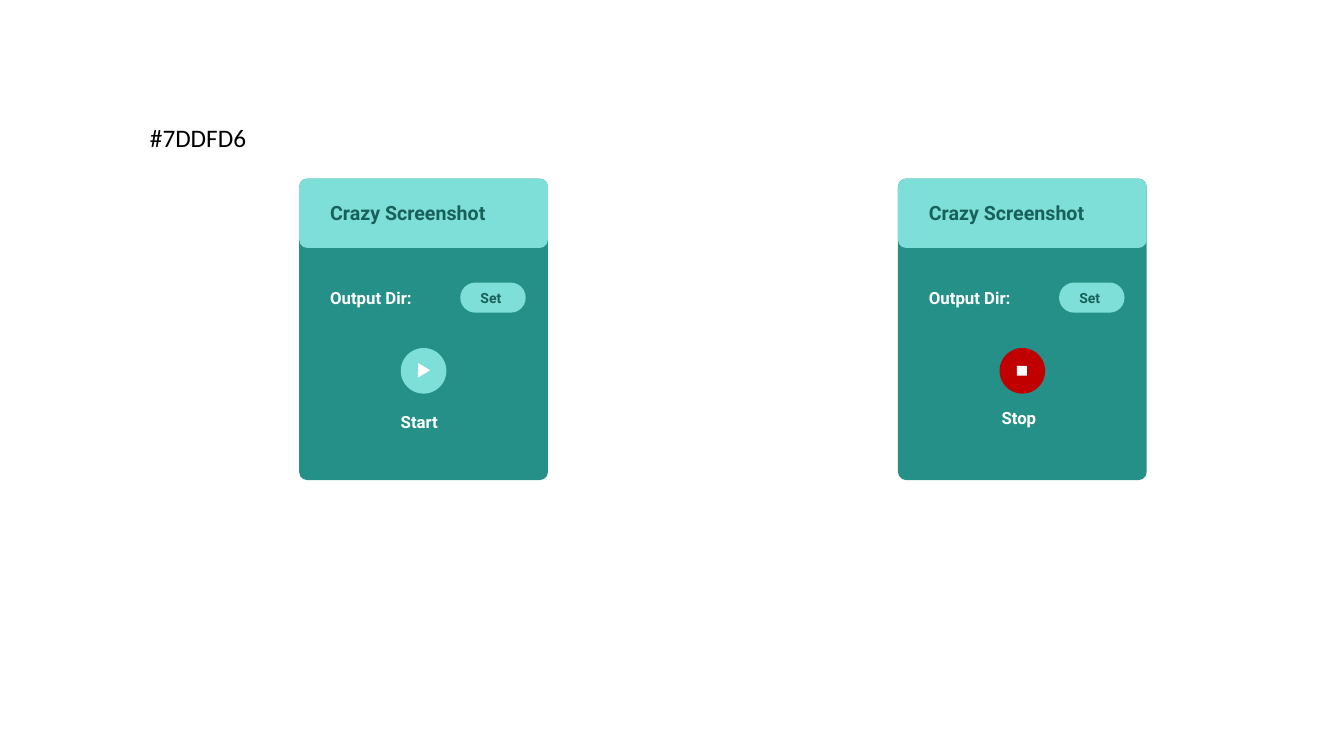
import dataclasses

import pptx
import pptx.dml.color
import pptx.enum.shapes
import pptx.enum.text
import pptx.util

Cm = pptx.util.Cm
Shapes = pptx.enum.shapes.MSO_SHAPE


@dataclasses.dataclass(frozen=True)
class Theme:
    teal: str = "249087"
    mint: str = "7DDFD7"
    dark: str = "18605A"
    white: str = "FFFFFF"
    black: str = "000000"
    red: str = "C00000"
    note_font: str = "Calibri"
    card_font: str = "Roboto"
    note_size: int = 18
    title_size: int = 14
    label_size: int = 12
    button_size: int = 10


THEME = Theme()

COLOUR_NOTE = ("#7DDFD6", (3.53, 2.97, 2.97, 1.02))
CARD_TITLE = "Crazy Screenshot"
FOLDER_LABEL = "Output Dir:"
FOLDER_BUTTON = "Set"
CARDS = [
    {
        "action": "Start",
        "action_box": (2.31, 5.74, 1.65, 0.76),
        "button_colour": THEME.mint,
        "icon": Shapes.ISOSCELES_TRIANGLE,
        "icon_box": (2.97, 4.68, 0.36, 0.3),
        "icon_rotation": 90,
    },
    {
        "action": "Stop",
        "action_box": (2.36, 5.66, 1.55, 0.76),
        "button_colour": THEME.red,
        "icon": Shapes.RECTANGLE,
        "icon_box": (3, 4.72, 0.25, 0.25),
        "icon_rotation": 0,
    },
]

CARD_LEFT, CARD_TOP, CARD_STEP = 7.54, 4.5, 15.09
CARD_WIDTH, CARD_HEIGHT, HEADER_HEIGHT = 6.27, 7.6, 1.75
CORNER_RADIUS = 0.21
ROW_TOP, ROW_HEIGHT = 2.62, 0.76
BUTTON_DIAMETER = 1.15


def add_filled(shapes, kind, box, colour, radius=None):
    shape = shapes.add_shape(kind, *map(Cm, box))
    shape.shadow.inherit = False
    shape.fill.solid()
    shape.fill.fore_color.rgb = pptx.dml.color.RGBColor.from_string(colour)
    shape.line.fill.background()
    if radius is not None:
        shape.adjustments[0] = radius / min(box[2:])
    return shape


def add_label(shapes, text, box, size, colour, font=THEME.card_font, bold=True):
    label = shapes.add_textbox(*map(Cm, box))
    frame = label.text_frame
    frame.word_wrap = False
    frame.auto_size = pptx.enum.text.MSO_AUTO_SIZE.SHAPE_TO_FIT_TEXT
    run = frame.paragraphs[0].add_run()
    run.text = text
    run.font.name = font
    run.font.size = pptx.util.Pt(size)
    run.font.bold = bold
    run.font.color.rgb = pptx.dml.color.RGBColor.from_string(colour)


def add_card(slide, card, left, top):
    def place(box):
        return (left + box[0], top + box[1], *box[2:])

    shapes = slide.shapes.add_group_shape().shapes
    for height, colour in ((CARD_HEIGHT, THEME.teal), (HEADER_HEIGHT, THEME.mint)):
        add_filled(shapes, Shapes.ROUNDED_RECTANGLE,
                   place((0, 0, CARD_WIDTH, height)), colour, CORNER_RADIUS)
    add_label(shapes, CARD_TITLE, place((0.53, 0.43, 5.18, 0.86)),
              THEME.title_size, THEME.dark)

    add_label(shapes, FOLDER_LABEL, place((0.53, ROW_TOP, 3.05, ROW_HEIGHT)),
              THEME.label_size, THEME.white)
    add_filled(shapes, Shapes.ROUNDED_RECTANGLE,
               place((4.06, ROW_TOP, 1.65, ROW_HEIGHT)), THEME.mint, ROW_HEIGHT / 2)
    add_label(shapes, FOLDER_BUTTON, place((4.32, 2.67, 1.14, 0.69)),
              THEME.button_size, THEME.dark)

    button_left = (CARD_WIDTH - BUTTON_DIAMETER) / 2
    add_filled(shapes, Shapes.OVAL,
               place((button_left, 4.27, BUTTON_DIAMETER, BUTTON_DIAMETER)),
               card["button_colour"])
    icon = add_filled(shapes, card["icon"], place(card["icon_box"]), THEME.white)
    icon.rotation = card["icon_rotation"]
    add_label(shapes, card["action"], place(card["action_box"]),
              THEME.label_size, THEME.white)


def main():
    presentation = pptx.Presentation()
    presentation.slide_width = Cm(33.87)
    presentation.slide_height = Cm(19.05)
    slide = presentation.slides.add_slide(presentation.slide_layouts[6])

    text, box = COLOUR_NOTE
    add_label(slide.shapes, text, box, THEME.note_size, THEME.black,
              THEME.note_font, bold=False)
    for index, card in enumerate(CARDS):
        add_card(slide, card, CARD_LEFT + index * CARD_STEP, CARD_TOP)

    presentation.save("out.pptx")


if __name__ == "__main__":
    main()
